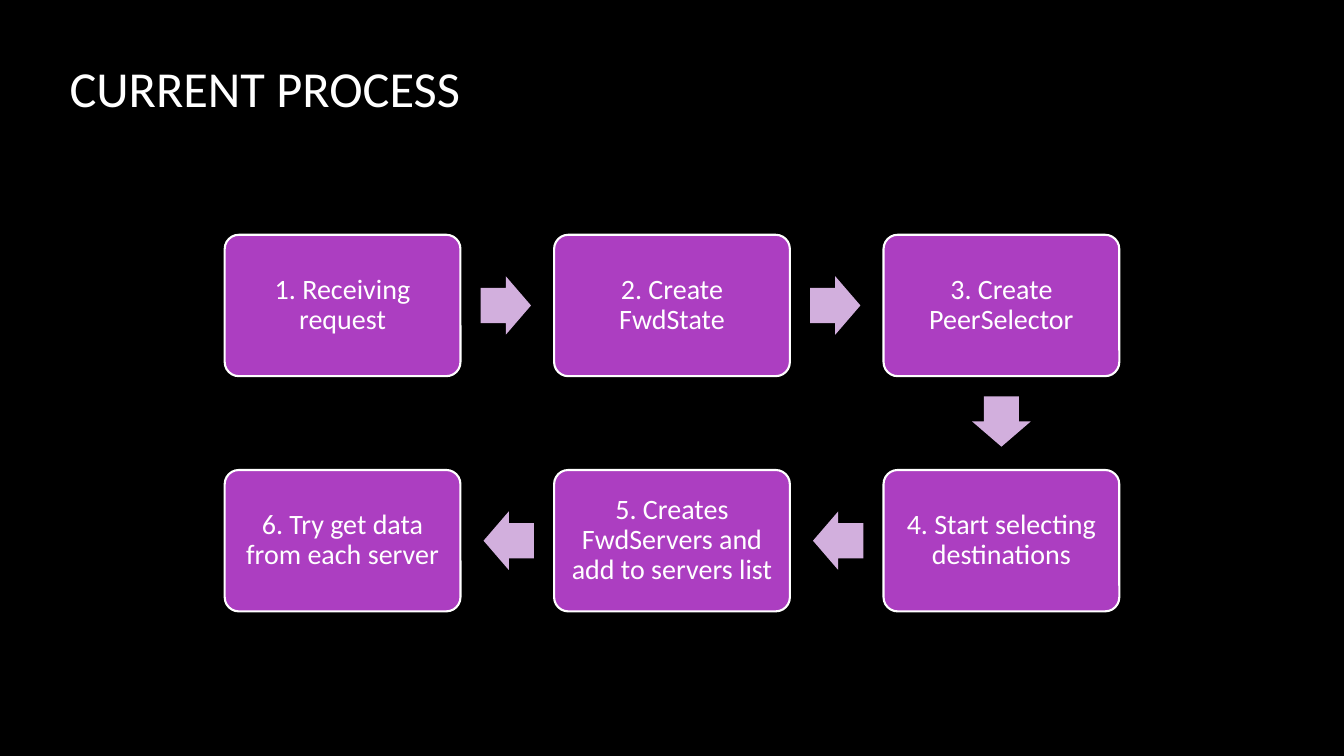
from dataclasses import dataclass

from pptx import Presentation
from pptx.dml.color import RGBColor
from pptx.enum.shapes import MSO_SHAPE as Shape
from pptx.enum.text import MSO_ANCHOR as Anchor, PP_ALIGN as Align
from pptx.util import Pt


@dataclass(frozen=True)
class Theme:
    background: RGBColor = RGBColor.from_string("000000")
    text: RGBColor = RGBColor.from_string("FFFFFF")
    step: RGBColor = RGBColor.from_string("AC3EC1")
    arrow: RGBColor = RGBColor.from_string("D2AFDD")
    font: str = "Calibri"
    title_size: int = 36
    step_size: int = 20


theme = Theme()


def style_text(paragraph, size, align):
    paragraph.alignment = align
    paragraph.line_spacing = 0.9
    paragraph.font.name = theme.font
    paragraph.font.size = Pt(size)
    paragraph.font.color.rgb = theme.text


def add_block(kind, center_x, center_y, width, height, color):
    block = slide.shapes.add_shape(
        kind, Pt(center_x - width / 2), Pt(center_y - height / 2), Pt(width), Pt(height))
    block.shadow.inherit = False
    block.fill.solid()
    block.fill.fore_color.rgb = color
    return block


# Slide and background
deck = Presentation()
deck.slide_width, deck.slide_height = Pt(960), Pt(540)
slide = deck.slides.add_slide(deck.slide_layouts[5])
slide.background.fill.solid()
slide.background.fill.fore_color.rgb = theme.background

# Title
title = slide.shapes.title
title.left, title.top, title.width, title.height = Pt(42.5), Pt(13), Pt(828), Pt(104.4)
title.text_frame.text = "CURRENT PROCESS"
title.text_frame.vertical_anchor = Anchor.MIDDLE
style_text(title.text_frame.paragraphs[0], theme.title_size, Align.LEFT)

# Process grid: the first row runs right, the second runs back left
STEP_W, STEP_H = 168.4, 101
ARROW_W, ARROW_H = 36, 41.8
ARROW_GAP = 32.4  # from a step's edge to the centre of its arrow
COLUMNS = [244.7, 480, 715.3]
ROWS = [218.2, 386.2]
steps = [
    "1. Receiving request",
    "2. Create FwdState",
    "3. Create PeerSelector",
    "4. Start selecting destinations",
    "5. Creates FwdServers and add to servers list",
    "6. Try get data from each server",
]
centers = [(x, ROWS[0]) for x in COLUMNS] + [(x, ROWS[1]) for x in reversed(COLUMNS)]

# Steps
for label, (x, y) in zip(steps, centers):
    step = add_block(Shape.ROUNDED_RECTANGLE, x, y, STEP_W, STEP_H, theme.step)
    step.adjustments[0] = 0.1
    step.line.color.rgb = theme.text
    step.line.width = Pt(1.5)
    frame = step.text_frame
    frame.word_wrap = True
    frame.vertical_anchor = Anchor.MIDDLE
    frame.margin_left = frame.margin_right = Pt(8.8)
    frame.margin_top = frame.margin_bottom = Pt(8.8)
    frame.text = label
    style_text(frame.paragraphs[0], theme.step_size, Align.CENTER)

# Arrows from each step to the next
for (x, y), (next_x, next_y) in zip(centers, centers[1:]):
    if next_y > y:
        y += STEP_H / 2 + ARROW_GAP
        rotation = 90
    elif next_x > x:
        x += STEP_W / 2 + ARROW_GAP
        rotation = 0
    else:
        x -= STEP_W / 2 + ARROW_GAP
        rotation = 180
    arrow = add_block(Shape.RIGHT_ARROW, x, y, ARROW_W, ARROW_H, theme.arrow)
    arrow.adjustments[0] = 0.6
    arrow.adjustments[1] = 0.5
    arrow.rotation = rotation
    arrow.line.fill.background()

deck.save("out.pptx")
